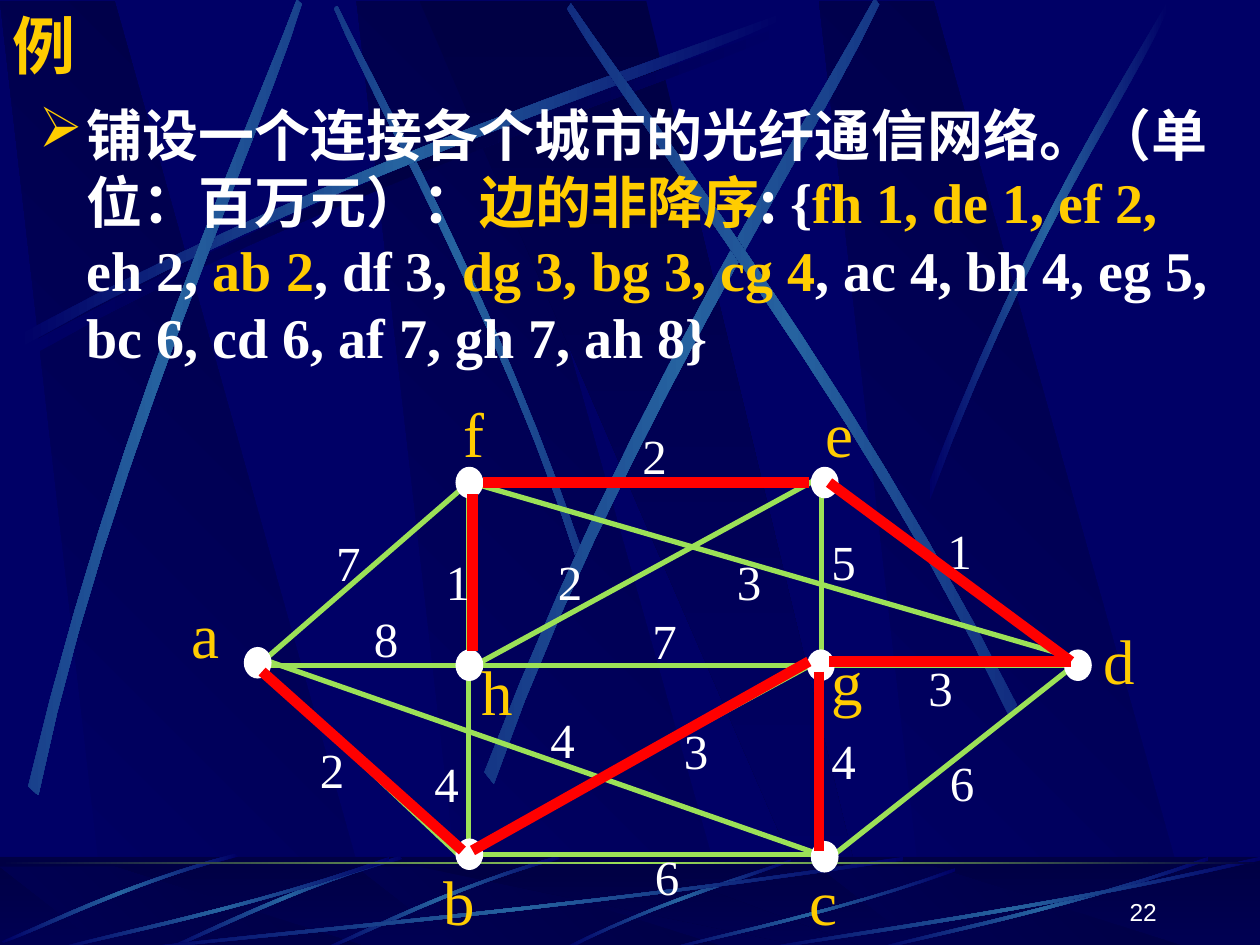
from dataclasses import dataclass

from lxml.etree import SubElement
from pptx import Presentation
from pptx.dml.color import RGBColor
from pptx.enum.shapes import MSO_CONNECTOR, MSO_SHAPE
from pptx.enum.text import MSO_ANCHOR, MSO_AUTO_SIZE, PP_ALIGN
from pptx.oxml.ns import qn
from pptx.util import Inches, Pt


@dataclass(frozen=True)
class Theme:
    navy: str = "000066"
    midnight: str = "000044"
    streak: str = "2663A0"
    green: str = "9CE157"
    red: str = "FF0000"
    gold: str = "FFCC00"
    white: str = "FFFFFF"
    serif: str = "Times New Roman"
    chinese: str = "Noto Sans CJK SC"
    sans: str = "Arial"
    heading: int = 36
    body: int = 32
    weight: int = 28
    number: int = 14


THEME = Theme()
FADE_IN = (THEME.navy, THEME.midnight)
FADE_OUT = (THEME.midnight, THEME.navy)
GLOW = (THEME.navy, THEME.streak, THEME.navy)
HORIZON = (THEME.midnight, THEME.green, THEME.midnight)

# One tapering sweep in a unit box: upper and lower edge as Bezier curves
SWEEP = (
    ((0, 0.96), (0.43, 0.43), (0.83, 0.15), (1, 0)),
    ((1, 0.02), (0.84, 0.19), (0.38, 0.5), (0, 1)),
)

# left, top, width, height, rotation, flip across, flip down
WALL_STREAKS = [
    (1.41, 1.35, 4.42, 1.75, 45, True, False),
    (0.14, 0.1, 6.08, 2.67, 0, False, False),
    (-1.71, 1.82, 6.08, 2.67, 311.7, False, False),
    (2.31, 1.6, 6.24, 3.01, 321.6, False, False),
    (3.23, 1.52, 6.08, 2.67, 34.7, True, False),
    (7.38, 0, 1.89, 3.97, 0, False, False),
]
FLOOR_STREAKS = [
    (4.48, 6.82, 1.8, 0.73, 0, False, False),
    (2.58, 6.76, 1.84, 0.83, 315, True, False),
    (1.33, 6.76, 1.84, 0.83, 315, True, False),
    (0.05, 6.71, 1.8, 0.85, 315, True, False),
    (1, 6.8, 6.17, 0.75, 0, True, True),
    (0.42, 6.8, 2.67, 0.75, 0, True, True),
    (5.27, 6.89, 2.31, 0.66, 0, True, True),
    (6.92, 6.8, 2.67, 0.75, 0, True, True),
    (6, 6.8, 4, 0.75, 0, True, True),
]

EDGES = [
    (3.66, 6.78, 6.56, 5.21), (3.66, 5.34, 6.56, 3.76),
    (6.5, 6.78, 2.05, 5.22), (8.49, 5.21, 3.77, 3.84),
    (3.72, 6.78, 3.72, 3.88), (6.52, 6.78, 6.52, 3.88),
    (2.05, 5.28, 3.72, 6.86), (3.72, 6.78, 6.56, 6.78),
    (6.56, 6.83, 8.55, 5.26), (2.05, 5.28, 8.55, 5.28),
    (2.05, 5.28, 3.72, 3.83), (3.72, 3.83, 6.56, 3.83),
    (6.56, 3.83, 8.55, 5.28),
]
TREE_EDGES = [
    (3.75, 3.92, 3.75, 5.17), (6.58, 3.83, 8.5, 5.25),
    (3.83, 3.83, 6.42, 3.83), (2.08, 5.33, 3.67, 6.75),
    (6.58, 5.25, 8.5, 5.25), (3.75, 6.75, 6.42, 5.25),
    (6.5, 5.33, 6.5, 6.75),
]
# City: node position, label position
CITIES = {
    "a": (1.94, 5.14, 1.42, 4.68), "b": (3.62, 6.66, 3.42, 6.8),
    "c": (6.44, 6.68, 6.33, 6.8), "d": (8.45, 5.16, 8.66, 4.88),
    "e": (6.44, 3.71, 6.45, 3.08), "f": (3.62, 3.71, 3.58, 3.08),
    "g": (6.41, 5.16, 6.5, 5.05), "h": (3.62, 5.16, 3.72, 5.13),
}
WEIGHTS = [
    ("7", 2.57, 4.18), ("6", 5.1, 6.67), ("2", 2.44, 5.82), ("8", 2.87, 4.78),
    ("1", 3.44, 4.33), ("4", 3.35, 5.93), ("4", 4.27, 5.58), ("3", 5.33, 5.67),
    ("4", 6.5, 5.75), ("7", 5.08, 4.8), ("2", 4.33, 4.33), ("3", 5.75, 4.33),
    ("5", 6.5, 4.17), ("6", 7.44, 5.92), ("3", 7.27, 5.17), ("2", 5, 3.33),
    ("1", 7.42, 4.08),
]
TASK = [
    ("铺设一个连接各个城市的光纤通信网络。（单位：百万元）：", THEME.white, THEME.chinese),
    ("边的非降序", THEME.gold, THEME.chinese),
    (": ", THEME.white, THEME.chinese),
    ("{", THEME.white, THEME.serif),
    ("fh 1, de 1, ef 2,", THEME.gold, THEME.serif),
    (" eh 2, ", THEME.white, THEME.serif),
    ("ab 2", THEME.gold, THEME.serif),
    (", df 3, ", THEME.white, THEME.serif),
    ("dg 3, bg 3, cg 4", THEME.gold, THEME.serif),
    (", ac 4, bh 4, eg 5, bc 6, cd 6, af 7, gh 7, ah 8}", THEME.white, THEME.serif),
]


def rgb(color):
    return RGBColor.from_string(color)


def paint_gradient(shape, colors, angle=0):
    """Fill with evenly spaced colours; the angle runs clockwise."""
    shape.shadow.inherit = False
    shape.line.fill.background()
    shape.fill.gradient()
    shape.fill.gradient_angle = (360 - angle) % 360
    gradient = shape._element.spPr.find(qn("a:gradFill"))
    gradient.set("rotWithShape", "0")
    stops = gradient.find(qn("a:gsLst"))
    for old_stop in list(stops):
        stops.remove(old_stop)
    for i, color in enumerate(colors):
        position = 100000 * i // (len(colors) - 1)
        stop = SubElement(stops, qn("a:gs"), pos=str(position))
        SubElement(stop, qn("a:srgbClr"), val=color)


def add_outline(slide, points):
    corners = [(Inches(x), Inches(y)) for x, y in points]
    builder = slide.shapes.build_freeform(*corners[0])
    builder.add_line_segments(corners[1:], close=True)
    return builder.convert_to_shape()


def bezier(curve, steps=12):
    for i in range(steps + 1):
        t = i / steps
        factors = ((1 - t) ** 3, 3 * t * (1 - t) ** 2, 3 * t * t * (1 - t), t ** 3)
        yield tuple(sum(f * p[axis] for f, p in zip(factors, curve)) for axis in (0, 1))


def add_streak(slide, left, top, width, height, rotation, across, down):
    points = [(left + width * (1 - x if across else x),
               top + height * (1 - y if down else y))
              for edge in SWEEP for x, y in bezier(edge)]
    streak = add_outline(slide, points)
    streak.rotation = rotation
    paint_gradient(streak, GLOW)


def add_beams(slide, top, bottom):
    for x in (2.83, 0, 6.5):
        beam = add_outline(slide, [(x + 0.86, bottom), (x + 3.02, bottom),
                                   (x + 0.91, top), (x, top)])
        paint_gradient(beam, FADE_IN, 315)
    wedge = add_outline(slide, [(3.33, top), (6.58, bottom), (6.94, bottom), (5.13, top)])
    paint_gradient(wedge, FADE_OUT, 90)


def add_band(slide, top, height):
    return slide.shapes.add_shape(MSO_SHAPE.RECTANGLE, 0, Inches(top), Inches(10), Inches(height))


def add_edge(slide, ends, color, width):
    edge = slide.shapes.add_connector(MSO_CONNECTOR.STRAIGHT, *map(Inches, ends))
    edge.line.color.rgb = rgb(color)
    edge.line.width = Pt(width)
    SubElement(edge._element.spPr, qn("a:effectLst"))


def add_node(slide, left, top):
    node = slide.shapes.add_shape(MSO_SHAPE.OVAL, *map(Inches, (left, top, 0.21, 0.24)))
    node.shadow.inherit = False
    node.fill.solid()
    node.fill.fore_color.rgb = rgb(THEME.white)
    node.line.color.rgb = rgb(THEME.white)
    node.line.width = Pt(0.75)


def add_text(slide, box, text, size, color, face=THEME.serif, wrap=True):
    frame = slide.shapes.add_textbox(*map(Inches, box)).text_frame
    frame.word_wrap = wrap
    if not wrap:
        frame.auto_size = MSO_AUTO_SIZE.SHAPE_TO_FIT_TEXT
    paragraph = frame.paragraphs[0]
    paragraph.text = text
    paragraph.font.size = Pt(size)
    paragraph.font.color.rgb = rgb(color)
    paragraph.font.name = face
    return frame


def add_task(slide):
    frame = slide.shapes.add_textbox(*map(Inches, (0.21, 0.75, 9.58, 5.92))).text_frame
    frame.word_wrap = True
    paragraph = frame.paragraphs[0]
    properties = paragraph._p.get_or_add_pPr()
    properties.set("marL", str(Inches(0.38)))
    properties.set("indent", str(-Inches(0.38)))
    SubElement(SubElement(properties, qn("a:buClr")), qn("a:srgbClr"), val=THEME.gold)
    SubElement(properties, qn("a:buChar"), char="➢")
    paragraph.font.size = Pt(THEME.body)
    paragraph.font.bold = True
    for text, color, face in TASK:
        run = paragraph.add_run()
        run.text = text
        run.font.color.rgb = rgb(color)
        run.font.name = face
        SubElement(run._r.get_or_add_rPr(), qn("a:ea"), typeface=THEME.chinese)


def add_backdrop(slide):
    slide.background.fill.solid()
    slide.background.fill.fore_color.rgb = rgb(THEME.navy)
    add_beams(slide, 0.01, 7.52)
    dark_streak = (0.2, 0.18, 6.08, 2.67, 0, False, False)
    add_streak(slide, *dark_streak)
    paint_gradient(slide.shapes[-1], (THEME.navy, THEME.midnight, THEME.navy))
    for streak in WALL_STREAKS:
        add_streak(slide, *streak)
    # Floor under a half-clear veil
    paint_gradient(add_band(slide, 6.8, 0.75), FADE_OUT, 90)
    add_beams(slide, 6.88, 7.55)
    veil = add_band(slide, 6.8, 0.75)
    veil.shadow.inherit = False
    veil.line.fill.background()
    veil.fill.solid()
    veil.fill.fore_color.rgb = rgb(THEME.midnight)
    tint = veil._element.spPr.find(qn("a:solidFill"))[0]
    SubElement(tint, qn("a:alpha"), val="50000")
    for streak in FLOOR_STREAKS:
        add_streak(slide, *streak)
    paint_gradient(add_band(slide, 6.84, 0.02), HORIZON)


def add_network(slide):
    for ends in EDGES:
        add_edge(slide, ends, THEME.green, 3)
    for city, (node_x, node_y, label_x, label_y) in CITIES.items():
        add_node(slide, node_x, node_y)
        add_text(slide, (label_x, label_y, 0.44, 0.7), city, THEME.heading, THEME.gold, wrap=False)
    for weight, x, y in WEIGHTS:
        add_text(slide, (x, y, 0.4, 0.57), weight, THEME.weight, THEME.white, wrap=False)
    # Minimum spanning tree
    for ends in TREE_EDGES:
        add_edge(slide, ends, THEME.red, 6)


def main():
    deck = Presentation()
    deck.slide_width, deck.slide_height = Inches(10), Inches(7.5)
    slide = deck.slides.add_slide(deck.slide_layouts[6])
    add_backdrop(slide)
    # Heading and task
    heading = add_text(slide, (0, 0, 8.5, 0.71), "例", THEME.heading, THEME.gold)
    heading.vertical_anchor = MSO_ANCHOR.MIDDLE
    heading.paragraphs[0].font.bold = True
    add_task(slide)
    add_network(slide)
    # Slide number
    number = add_text(slide, (7.2, 6.9, 2.08, 0.5), "22", THEME.number, THEME.white, THEME.sans)
    number.vertical_anchor = MSO_ANCHOR.BOTTOM
    number.paragraphs[0].alignment = PP_ALIGN.RIGHT
    deck.save("out.pptx")


if __name__ == "__main__":
    main()
